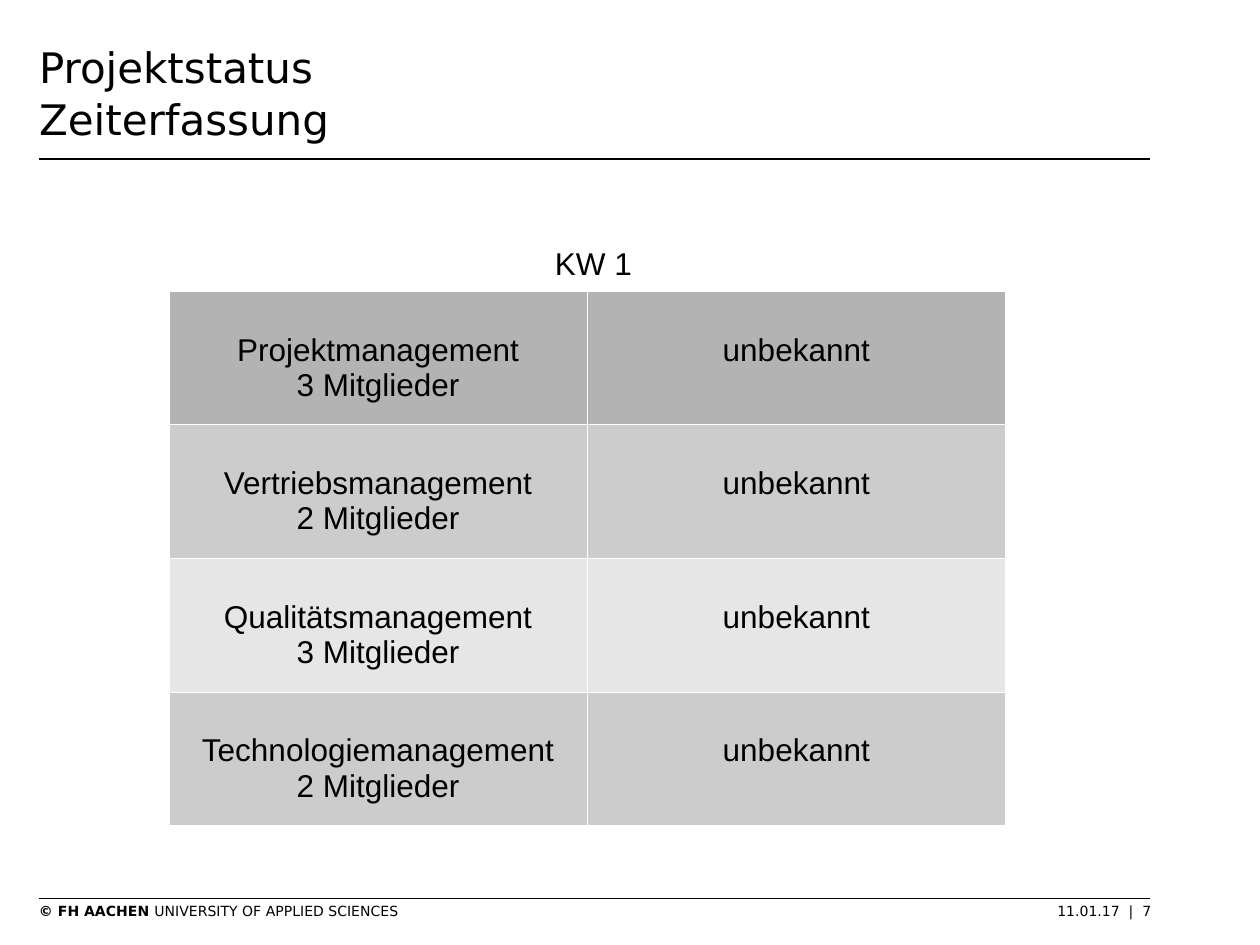
from dataclasses import dataclass

from lxml import etree
from pptx import Presentation
from pptx.dml.color import RGBColor
from pptx.enum.shapes import MSO_CONNECTOR
from pptx.enum.text import PP_ALIGN
from pptx.oxml.ns import qn
from pptx.slide import Slide
from pptx.table import _Cell
from pptx.text.text import TextFrame, _Paragraph
from pptx.util import Inches, Pt

STRAIGHT = MSO_CONNECTOR.STRAIGHT
CENTER = PP_ALIGN.CENTER


@dataclass(frozen=True)
class Theme:
    ink: str = "000000"
    border: str = "FFFFFF"
    heading_font: str = "DejaVu Sans"
    body_font: str = "Arial"
    title_size: float = 24
    body_size: float = 18
    footer_size: float = 8
    rule_width: float = 1
    border_width: float = 0.06


@dataclass(frozen=True)
class Box:
    left: float
    top: float
    width: float
    height: float


@dataclass(frozen=True)
class Team:
    name: str
    members: str
    hours: str
    fill: str


THEME = Theme()
MARGIN = 0.31
CONTENT_WIDTH = 8.82
RULE_TOPS = (1.26, 7.13)
TABLE = Box(1.34, 2.31, 6.64, 4.24)
TEAMS = [
    Team("Projektmanagement", "3 Mitglieder", "unbekannt", "B3B3B3"),
    Team("Vertriebsmanagement", "2 Mitglieder", "unbekannt", "CCCCCC"),
    Team("Qualitätsmanagement", "3 Mitglieder", "unbekannt", "E6E6E6"),
    Team("Technologiemanagement", "2 Mitglieder", "unbekannt", "CCCCCC"),
]


def style(p: _Paragraph, font: str, size: float) -> None:
    p.font.name = font
    p.font.size = Pt(size)
    p.font.color.rgb = RGBColor.from_string(THEME.ink)


def add_text_box(s: Slide, box: Box, inset_x: float = 0, inset_y: float = 0) -> TextFrame:
    sp = s.shapes.add_textbox(Inches(box.left), Inches(box.top), Inches(box.width), Inches(box.height))
    tf = sp.text_frame
    tf.word_wrap = True
    tf.margin_left = tf.margin_right = Inches(inset_x)
    tf.margin_top = tf.margin_bottom = Inches(inset_y)
    return tf


def add_rule(s: Slide, top: float) -> None:
    line = s.shapes.add_connector(
        STRAIGHT, Inches(MARGIN), Inches(top), Inches(MARGIN + CONTENT_WIDTH), Inches(top)
    )
    line.line.color.rgb = RGBColor.from_string(THEME.ink)
    line.line.width = Pt(THEME.rule_width)
    etree.SubElement(line._element.spPr, qn("a:effectLst"))


def add_title(s: Slide) -> None:
    p = add_text_box(s, Box(MARGIN, 0.31, CONTENT_WIDTH, 0.79)).paragraphs[0]
    p.text = "Projektstatus\vZeiterfassung"
    p.line_spacing = 1.04
    style(p, THEME.heading_font, THEME.title_size)


def add_footer(s: Slide) -> None:
    p = add_text_box(s, Box(MARGIN, 7.16, 9.06, 0.15)).paragraphs[0]
    tabs = etree.SubElement(p._p.get_or_add_pPr(), qn("a:tabLst"))
    etree.SubElement(tabs, qn("a:tab"), pos=str(Inches(8.83)), algn="r")
    style(p, THEME.heading_font, THEME.footer_size)
    for text, bold in (
        ("© FH AACHEN ", True),
        ("UNIVERSITY OF APPLIED SCIENCES\t11.01.17  |  7", False),
    ):
        r = p.add_run()
        r.text = text
        r.font.bold = bold


def add_caption(s: Slide) -> None:
    p = add_text_box(s, Box(1.44, 1.89, 6.54, 0.38), 0.1, 0.05).paragraphs[0]
    p.text = "KW 1"
    p.alignment = CENTER
    style(p, THEME.body_font, THEME.body_size)


def set_borders(cell: _Cell) -> None:
    tc_pr = cell._tc.get_or_add_tcPr()
    for side in ("lnL", "lnR", "lnT", "lnB"):
        ln = etree.SubElement(tc_pr, qn(f"a:{side}"), w=str(Pt(THEME.border_width)))
        fill = etree.SubElement(ln, qn("a:solidFill"))
        etree.SubElement(fill, qn("a:srgbClr"), val=THEME.border)


def fill_cell(cell: _Cell, lines: list[str], fill: str) -> None:
    cell.margin_left = cell.margin_right = Inches(0.1)
    cell.margin_top = Inches(0.33)
    cell.margin_bottom = Inches(0.05)
    set_borders(cell)
    cell.fill.solid()
    cell.fill.fore_color.rgb = RGBColor.from_string(fill)
    cell.text = "\n".join(lines)
    for p in cell.text_frame.paragraphs:
        p.alignment = CENTER
        style(p, THEME.body_font, THEME.body_size)


def add_time_table(s: Slide) -> None:
    table = s.shapes.add_table(
        len(TEAMS), 2, Inches(TABLE.left), Inches(TABLE.top), Inches(TABLE.width), Inches(TABLE.height)
    ).table
    table.first_row = False
    table.horz_banding = False
    for row, team in enumerate(TEAMS):
        fill_cell(table.cell(row, 0), [team.name, team.members], team.fill)
        fill_cell(table.cell(row, 1), [team.hours], team.fill)


def main() -> None:
    prs = Presentation()
    prs.slide_width = Inches(10)
    prs.slide_height = Inches(7.5)
    s = prs.slides.add_slide(prs.slide_layouts[6])
    for top in RULE_TOPS:
        add_rule(s, top)
    add_footer(s)
    add_title(s)
    add_time_table(s)
    add_caption(s)
    prs.save("out.pptx")


if __name__ == "__main__":
    main()
